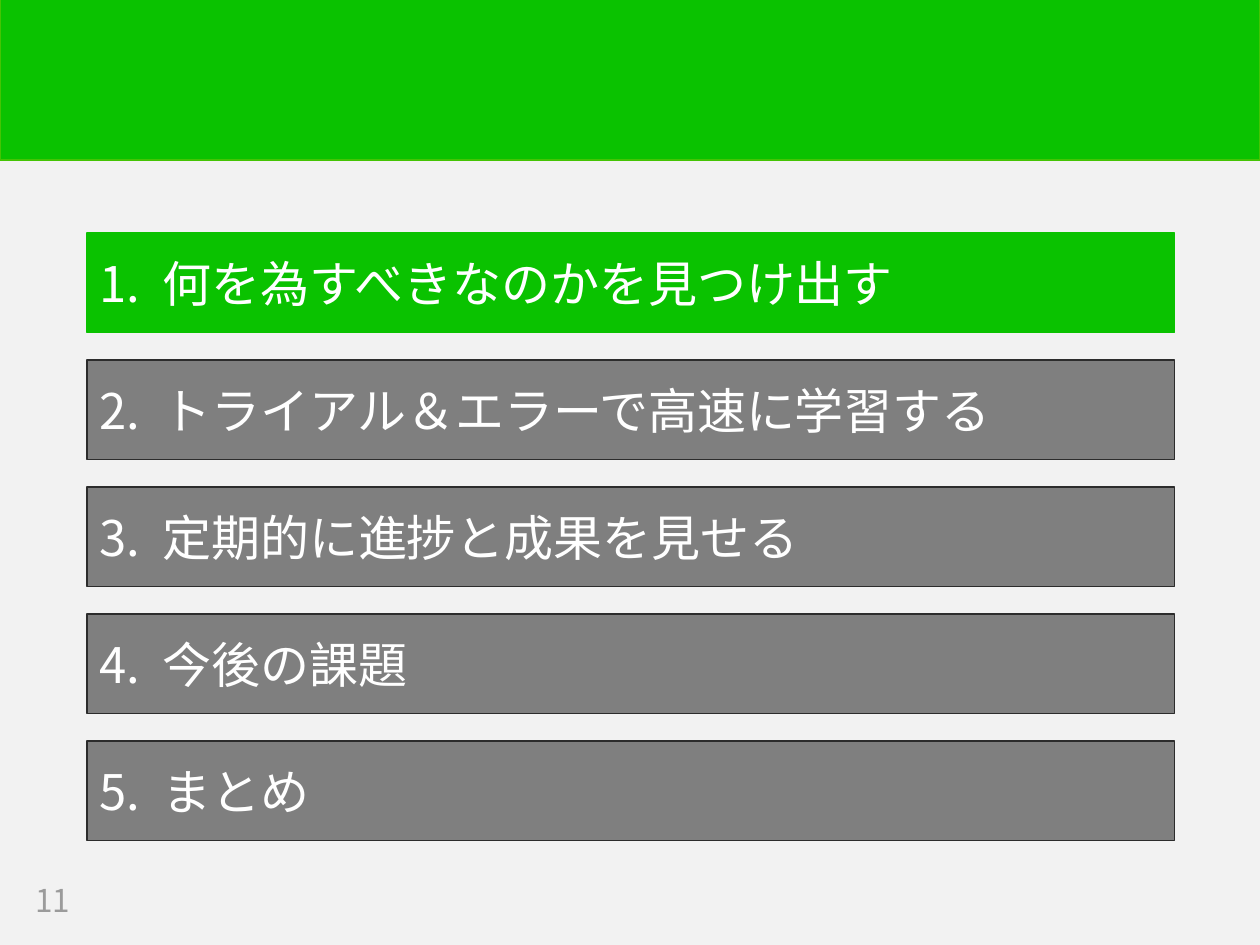
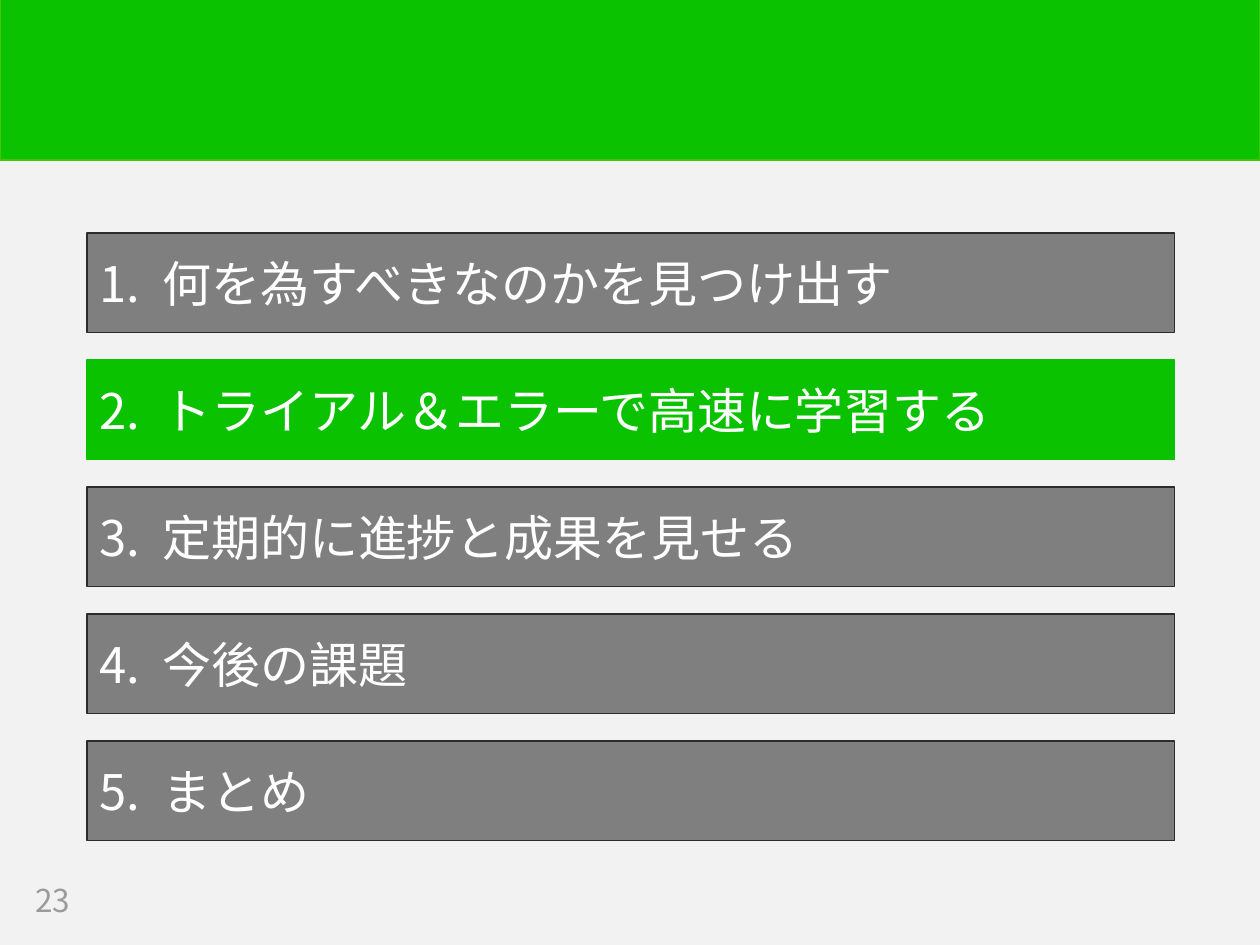
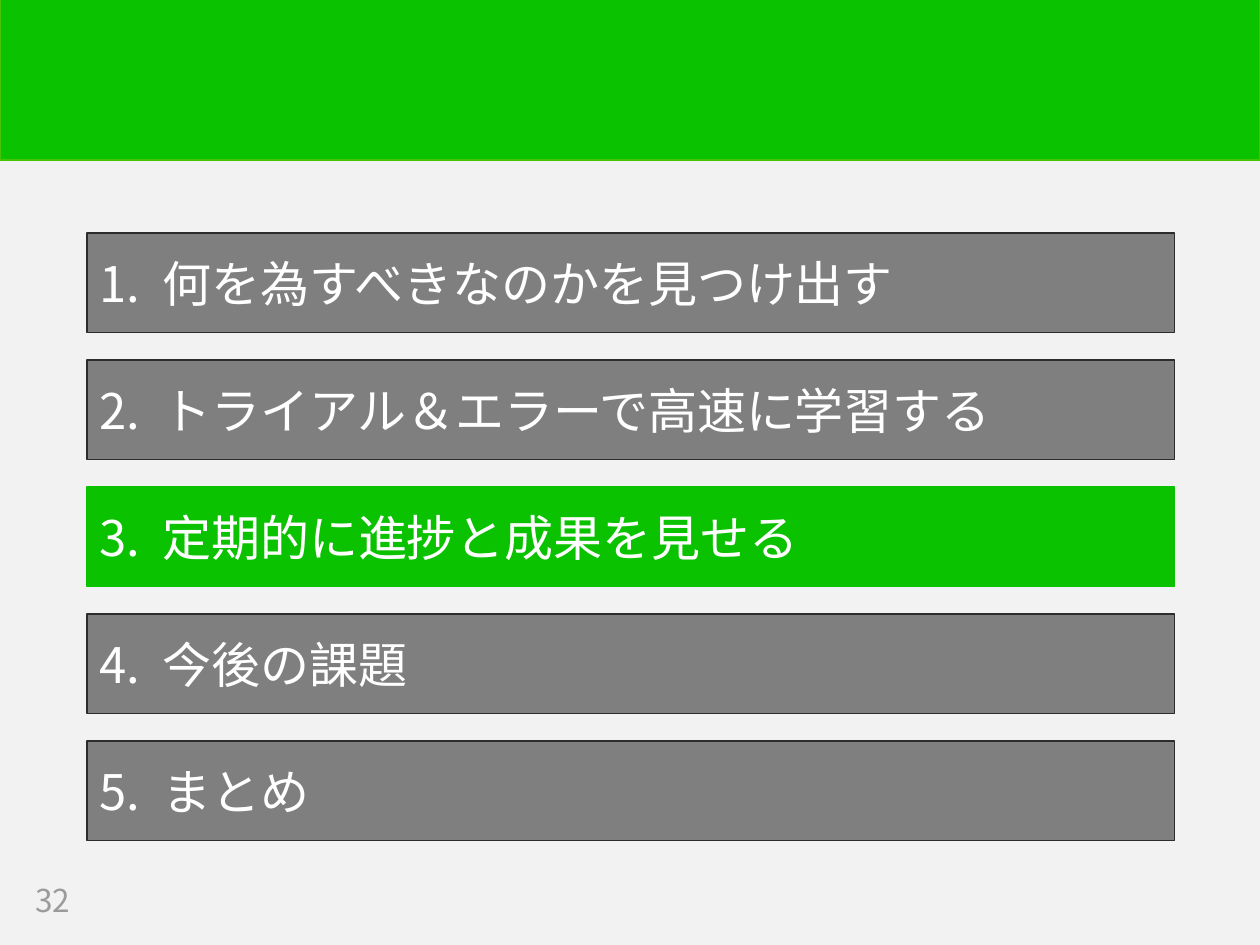
from dataclasses import dataclass

from lxml import etree
from pptx import Presentation
from pptx.dml.color import RGBColor
from pptx.enum import shapes, text
from pptx.oxml import ns
from pptx.util import Inches, Pt


@dataclass(frozen=True)
class Theme:
    font: str = "Noto Sans CJK JP"
    background: RGBColor = RGBColor(0xF2, 0xF2, 0xF2)
    green: RGBColor = RGBColor(0x0A, 0xC2, 0x00)
    band_edge: RGBColor = RGBColor(0x44, 0xC4, 0x04)
    grey: RGBColor = RGBColor(0x7F, 0x7F, 0x7F)
    grey_edge: RGBColor = RGBColor(0x2C, 0x2C, 0x2C)
    white: RGBColor = RGBColor(0xFF, 0xFF, 0xFF)
    number: RGBColor = RGBColor(0x9B, 0x9B, 0x9B)
    chapter_size: int = 28
    number_size: int = 18


THEME = Theme()
CHAPTERS = [
    "何を為すべきなのかを見つけ出す",
    "トライアル＆エラーで高速に学習する",
    "定期的に進捗と成果を見せる",
    "今後の課題",
    "まとめ",
]
PAGE_NUMBERS = [11, 23, 32]
FIRST_TOP, LAST_TOP = 1.85, 5.88
PITCH = (LAST_TOP - FIRST_TOP) / (len(CHAPTERS) - 1)


def add_rectangle(slide, left, top, width, height, *, fill, line, line_width):
    rectangle = slide.shapes.add_shape(
        shapes.MSO_SHAPE.RECTANGLE, Inches(left), Inches(top), Inches(width), Inches(height))
    rectangle.shadow.inherit = False
    rectangle.fill.solid()
    rectangle.fill.fore_color.rgb = fill
    rectangle.line.color.rgb = line
    rectangle.line.width = Pt(line_width)
    return rectangle


def write(shape, content, *, size, color, tab=None):
    """Set one left-aligned line, with an optional tab stop in inches."""
    frame = shape.text_frame
    frame.word_wrap = True
    frame.vertical_anchor = text.MSO_ANCHOR.MIDDLE
    paragraph = frame.paragraphs[0]
    paragraph.alignment = text.PP_ALIGN.LEFT
    if tab:
        stops = etree.SubElement(paragraph._p.get_or_add_pPr(), ns.qn("a:tabLst"))
        etree.SubElement(stops, ns.qn("a:tab"), pos=str(Inches(tab)), algn="l")
    run = paragraph.add_run()
    run.text = content
    run.font.size = Pt(size)
    run.font.color.rgb = color
    run.font.name = THEME.font
    etree.SubElement(run.font._element, ns.qn("a:ea"), typeface=THEME.font)


deck = Presentation()
deck.slide_width, deck.slide_height = Inches(10), Inches(7.5)
master = deck.slide_master
master.background.fill.solid()
master.background.fill.fore_color.rgb = THEME.background
blank = deck.slide_layouts.get_by_name("Blank")
slides = [deck.slides.add_slide(blank) for _ in PAGE_NUMBERS]

# The band is drawn once and moved to the master, behind its placeholders.
band = add_rectangle(slides[0], 0, -0.01, 10, 1.28,
                     fill=THEME.green, line=THEME.band_edge, line_width=1)
band.element.nvSpPr.cNvPr.set("id", "20")
master.shapes.element.insert(2, band.element)

for current, (slide, page_number) in enumerate(zip(slides, PAGE_NUMBERS)):
    footer = slide.shapes.add_textbox(Inches(0.18), Inches(6.95), Inches(0.79), Inches(0.39))
    write(footer, str(page_number), size=THEME.number_size, color=THEME.number)

    for index, chapter in enumerate(CHAPTERS):
        active = index == current
        bar = add_rectangle(slide, 0.69, FIRST_TOP + index * PITCH, 8.63, 0.79,
                            fill=THEME.green if active else THEME.grey,
                            line=THEME.green if active else THEME.grey_edge,
                            line_width=0.75)
        write(bar, f"{index + 1}.\t{chapter}", size=THEME.chapter_size,
              color=THEME.white, tab=0.5)

deck.save("out.pptx")
